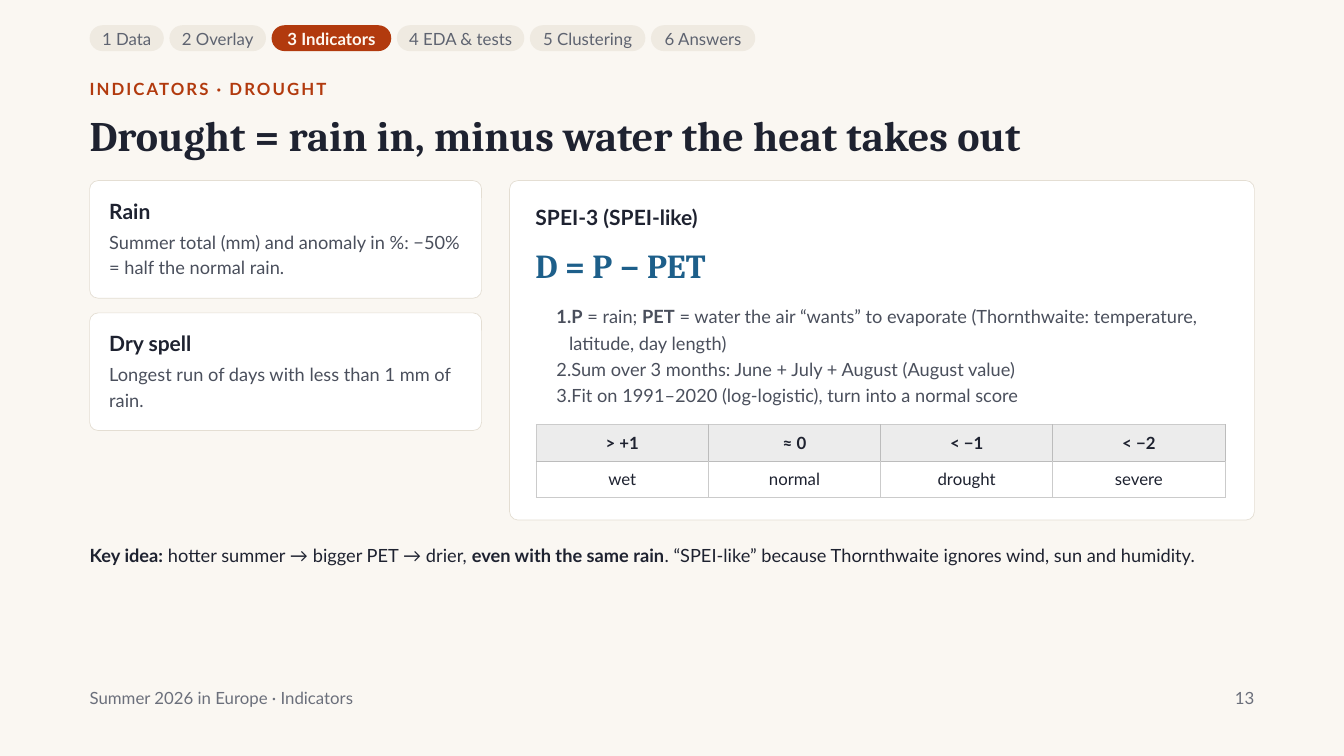
from lxml import etree
from pptx import Presentation
from pptx import util as u
from pptx.dml.color import RGBColor
from pptx.enum import shapes, text
from pptx.oxml import ns

PX = 9525
LATO, CAMBRIA = "Lato", "Cambria"
INK, BODY, MUTED, STEP = "1E2230", "4A4F5C", "6B6F7B", "5E6370"
ACCENT, BLUE, WHITE = "B23A0E", "1D5F8A", "FFFFFF"
EDGE, RULE = "CBCBCB", "BCBCBC"
LEFT = 128
ALIGN = text.PP_ALIGN


def px(*lengths):
    return [u.Emu(length * PX) for length in lengths]


def color(value):
    return RGBColor.from_string(value)


def write(paragraph, content, size, ink, line, face=LATO, bold=False,
          align=ALIGN.LEFT, spacing=None):
    paragraph.alignment = align
    paragraph.line_spacing = u.Pt(line)
    font = paragraph.font
    font.name, font.size, font.color.rgb = face, u.Pt(size), color(ink)
    parts = content.split("**")
    if len(parts) == 1:
        font.bold = bold
    for index, part in enumerate(parts):
        if not part:
            continue
        run = paragraph.add_run()
        run.text = part
        if len(parts) > 1:
            run.font.bold = index % 2 == 1
        if spacing:
            run._r.get_or_add_rPr().set("spc", str(spacing))


def add_frame(slide, left, top, width, height):
    frame = slide.shapes.add_textbox(*px(left, top, width, height)).text_frame
    frame.word_wrap = True
    frame.auto_size = text.MSO_AUTO_SIZE.SHAPE_TO_FIT_TEXT
    frame.margin_left = frame.margin_right = 0
    frame.margin_top = frame.margin_bottom = 0
    return frame


def add_label(slide, box, content, size, ink, line, **style):
    write(add_frame(slide, *box).paragraphs[0], content, size, ink, line, **style)


def add_rounded(slide, left, top, width, height, radius, fill, outline=None):
    panel = slide.shapes.add_shape(
        shapes.MSO_SHAPE.ROUNDED_RECTANGLE, *px(left, top, width, height))
    panel.shadow.inherit = False
    panel.adjustments[0] = min(radius / min(width, height), 0.5)
    panel.fill.solid()
    panel.fill.fore_color.rgb = color(fill)
    if outline:
        panel.line.color.rgb = color(outline)
        panel.line.width = u.Pt(0.75)
    else:
        panel.line.fill.background()
    return panel


def add_card(slide, left, top, width, height):
    add_rounded(slide, left, top, width, height, 12, WHITE, "E4DED3")


def add_steps(slide, steps, current):
    left = LEFT
    for name, width in steps:
        active = name == current
        pill = add_rounded(slide, left, 36, width, 37, 19,
                           ACCENT if active else "EFEAE1")
        frame = pill.text_frame
        frame.margin_left = frame.margin_right = frame.margin_top = 0
        frame.margin_bottom = px(4)[0]
        frame.vertical_anchor = text.MSO_ANCHOR.MIDDLE
        frame.word_wrap = True
        write(frame.paragraphs[0], name, 18, "FFF8F0" if active else STEP, 25.2,
              bold=active, align=ALIGN.CENTER)
        left += width + 8


def add_definition(slide, top, term, meaning):
    add_card(slide, LEFT, top, 560, 168)
    add_label(slide, (LEFT + 28, top + 25, 517, 40), term, 22.5, INK, 27, bold=True)
    add_label(slide, (LEFT + 28, top + 67, 517, 81), meaning, 19.5, BODY, 27.3)


def add_numbered(slide, box, items):
    frame = add_frame(slide, *box)
    for index, item in enumerate(items):
        paragraph = frame.add_paragraph() if index else frame.paragraphs[0]
        paragraph.level = 1
        properties = paragraph._p.get_or_add_pPr()
        properties.set("marL", str(37 * PX))
        properties.set("indent", str(-18 * PX))
        etree.SubElement(properties, ns.qn("a:buAutoNum"), type="arabicPeriod")
        write(paragraph, item, 19.5, BODY, 28.3)


def add_border(cell, side, ink):
    line = etree.SubElement(cell._tc.get_or_add_tcPr(), ns.qn("a:ln" + side),
                            w=str(u.Pt(1)))
    fill = etree.SubElement(line, ns.qn("a:solidFill"))
    etree.SubElement(fill, ns.qn("a:srgbClr"), val=ink)


def add_scale(slide, left, top, rows, column_width, row_height):
    count = len(rows[0])
    table = slide.shapes.add_table(
        len(rows), count,
        *px(left, top, column_width * count, row_height * len(rows))).table
    for column in table.columns:
        column.width = px(column_width)[0]
    for r, row in enumerate(rows):
        table.rows[r].height = px(row_height)[0]
        header = r == 0
        inner = RULE if header else EDGE
        for c, value in enumerate(row):
            cell = table.cell(r, c)
            cell.margin_left = cell.margin_right = px(6)[0]
            cell.margin_top = cell.margin_bottom = px(6)[0]
            add_border(cell, "L", inner if c else EDGE)
            add_border(cell, "R", inner)
            add_border(cell, "T", EDGE if header else RULE)
            add_border(cell, "B", inner)
            if header:
                cell.fill.solid()
                cell.fill.fore_color.rgb = color("ECECEC")
            else:
                cell.fill.background()
            write(cell.text_frame.paragraphs[0], value, 18, INK, 25.2,
                  bold=header, align=ALIGN.CENTER)


def main():
    deck = Presentation()
    deck.slide_width, deck.slide_height = px(1920, 1080)
    slide = deck.slides.add_slide(deck.slide_layouts[6])
    slide.background.fill.solid()
    slide.background.fill.fore_color.rgb = color("FAF7F2")

    add_steps(slide, [("1 Data", 106), ("2 Overlay", 138), ("3 Indicators", 171),
                      ("4 EDA & tests", 182), ("5 Clustering", 165),
                      ("6 Answers", 149)], "3 Indicators")
    add_label(slide, (LEFT, 108, 1714, 41), "INDICATORS · DROUGHT", 18, ACCENT, 25.2,
              bold=True, spacing=220)
    add_label(slide, (LEFT, 160, 1714, 70),
              "Drought = rain in, minus water the heat takes out",
              45, INK, 51.7, face=CAMBRIA, bold=True)

    add_definition(slide, 258, "Rain",
                   "Summer total (mm) and anomaly in %: −50% = half the normal rain.")
    add_definition(slide, 447, "Dry spell",
                   "Longest run of days with less than 1 mm of rain.")

    add_card(slide, 728, 258, 1064, 485)
    add_label(slide, (765, 292, 1020, 40), "SPEI-3 (SPEI-like)", 22.5, INK, 27, bold=True)
    add_label(slide, (765, 341, 1020, 78), "D = P − PET", 36, BLUE, 50.4,
              face=CAMBRIA, bold=True)
    add_numbered(slide, (776, 430, 1008, 159), [
        "**P** = rain; **PET** = water the air “wants” to evaporate "
        "(Thornthwaite: temperature, latitude, day length)",
        "Sum over 3 months: June + July + August (August value)",
        "Fit on 1991–2020 (log-logistic), turn into a normal score"])
    add_scale(slide, 766, 607, [["> +1", "≈ 0", "< −1", "< −2"],
                                ["wet", "normal", "drought", "severe"]], 246, 52)

    add_label(slide, (LEFT, 772, 1792, 44),
              "**Key idea:** hotter summer → bigger PET → drier, **even with the same rain**"
              ". “SPEI-like” because Thornthwaite ignores wind, sun and humidity.",
              19.5, INK, 27.3)
    add_label(slide, (LEFT, 978, 1442, 41), "Summer 2026 in Europe · Indicators",
              18, MUTED, 25.2)
    add_label(slide, (1664, 978, 128, 41), "13", 18, MUTED, 25.2, align=ALIGN.RIGHT)
    deck.save("out.pptx")


if __name__ == "__main__":
    main()
